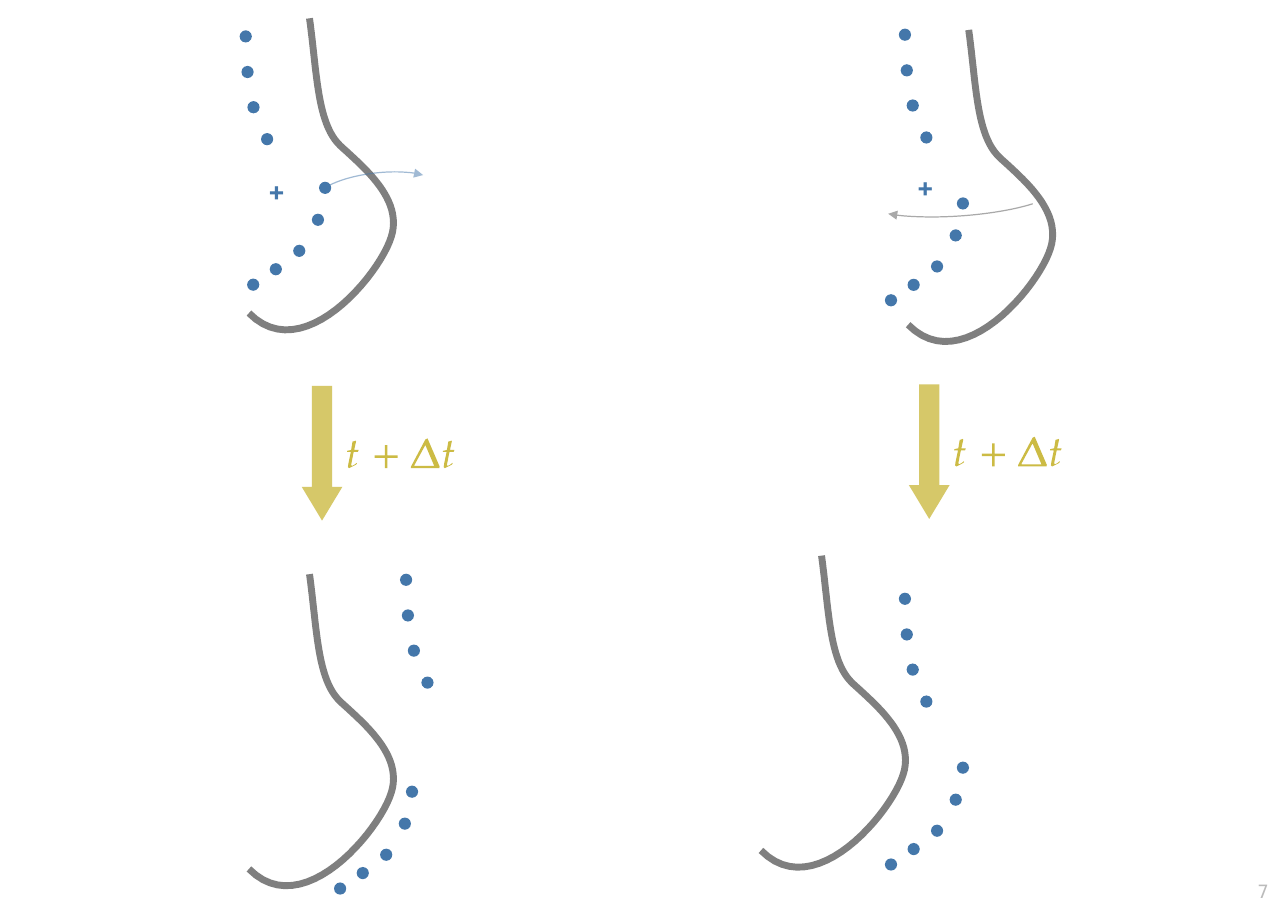
from lxml.etree import SubElement
from pptx import Presentation
from pptx.dml.color import RGBColor
from pptx.enum.shapes import MSO_SHAPE
from pptx.enum.text import MSO_ANCHOR, PP_ALIGN
from pptx.oxml.ns import qn
from pptx.util import Pt

BLUE, GREY, YELLOW, PALE = "4477AA", "555555", "CCBB44", "BBBBBB"
DOT_SIZE = 8
CURVE_STEPS = 24

# Contour as a start point and cubic segments, from its left top corner
CONTOUR_START = (39.6, 0)
CONTOUR_CURVES = [
    [(44.6, 36.9), (44.6, 68.7), (59.6, 83.2)],
    [(75.4, 97.8), (100.8, 118.3), (93, 142.9)],
    [(85.5, 167.3), (35.3, 228.5), (0, 192.7)],
]
# Dots of each arc, from the first dot of that arc
UPPER_DOTS = [(0, 0), (1.2, 23.3), (5.1, 46.3), (14, 67.2)]
LOWER_DOTS = [(0, 0), (-4.7, 20.9), (-16.9, 41.2), (-32.2, 53.2), (-47, 63.3)]

# Box corner, then contour, upper dots and lower dots from that corner
STATES = [
    ((156, 12), (6.7, 0), (0.6, 7.8), (52.5, 106.8)),
    ((156, 375), (6.7, 0.3), (105.4, 0), (109.3, 138.5)),
    ((585, 18), (8.5, 1.6), (2.4, 0.7), (40.3, 111)),
    ((497, 363), (0.3, 0.2), (90.4, 24.4), (128.3, 134.8)),
]

# Outlines of the formula's signs, each from its own left top corner
LETTER_T = [[
    (6.5, 15.1), (6.2, 14.6), (4.8, 15.8), (3.2, 16.6), (2.7, 15.9), (4.1, 8.7),
    (4.4, 7.4), (7.1, 7.4), (7.6, 6.1), (4.7, 6.1), (5.9, 0.6), (5.7, 0),
    (3.6, 0.7), (2.7, 6.1), (0.1, 6.7), (0, 7.4), (2.5, 7.4), (0.9, 15.1),
    (0.6, 17.3), (1.4, 18), (5.8, 15.8),
]]
PLUS = [[
    (6.7, 0), (8.4, 0), (8.4, 6.7), (15.1, 6.7), (15.1, 8.4), (8.4, 8.4),
    (8.4, 15.1), (6.7, 15.1), (6.7, 8.4), (0, 8.4), (0, 6.7), (6.7, 6.7),
]]
DELTA = [
    [(9.4, 0.7), (0, 18.4), (0, 19.4), (18.5, 19.4), (18.7, 18.4), (10.8, 0)],
    [(15.2, 18), (2.2, 18), (2.2, 17.5), (9.4, 4.3)],
]
FORMULA = [(LETTER_T, 0, 0), (PLUS, 18, 2.9), (DELTA, 41.8, -1.4), (LETTER_T, 62.6, 0)]


def color(hex_string):
    return RGBColor.from_string(hex_string)


def set_values(target, values):
    for name, value in values.items():
        setattr(target, name, value)


def set_opacity(shape, percent):
    for element in shape.element.spPr.iter(qn("a:srgbClr")):
        SubElement(element, qn("a:alpha"), val=str(percent * 1000))


def set_line(shape, hex_string, width, opacity):
    shape.shadow.inherit = False
    shape.fill.background()
    shape.line.color.rgb = color(hex_string)
    shape.line.width = Pt(width)
    set_opacity(shape, opacity)


def set_fill(shape, hex_string):
    shape.shadow.inherit = False
    shape.fill.solid()
    shape.fill.fore_color.rgb = color(hex_string)
    shape.line.fill.background()


def add_filled(shapes, kind, box, hex_string):
    shape = shapes.add_shape(kind, *map(Pt, box))
    set_fill(shape, hex_string)
    return shape


def add_outline(shapes, left, top, outlines, close):
    """Freeform through one or more lists of points."""
    placed = [[(Pt(left + x), Pt(top + y)) for x, y in points] for points in outlines]
    builder = shapes.build_freeform(*placed[0][0])
    for index, points in enumerate(placed):
        if index:
            builder.move_to(*points[0])
        builder.add_line_segments(points[1:], close=close)
    return builder.convert_to_shape()


def add_text(slide, box, text, hex_string, font, align=PP_ALIGN.LEFT):
    shape = slide.shapes.add_textbox(*map(Pt, box))
    set_values(shape.text_frame, {
        "word_wrap": True, "vertical_anchor": MSO_ANCHOR.TOP,
        "margin_left": 0, "margin_right": 0, "margin_top": 0, "margin_bottom": 0,
    })
    paragraph = shape.text_frame.paragraphs[0]
    paragraph.alignment = align
    run = paragraph.add_run()
    run.text = text
    set_values(run.font, font)
    run.font.color.rgb = color(hex_string)


def curve_points(start, curves):
    """Points along a chain of cubic curves."""
    points = [start]
    for first, second, end in curves:
        for step in range(1, CURVE_STEPS + 1):
            t = step / CURVE_STEPS
            u = 1 - t
            points.append(tuple(
                u**3 * a + 3 * u * u * t * b + 3 * u * t * t * c + t**3 * d
                for a, b, c, d in zip(start, first, second, end)
            ))
        start = end
    return points


def draw_state(slide, corner, contour, upper, lower):
    """One contour with its two arcs of dots."""
    left, top = corner
    shapes = slide.shapes.add_group_shape().shapes

    # Contour
    points = curve_points(CONTOUR_START, CONTOUR_CURVES)
    line = add_outline(shapes, left + contour[0], top + contour[1], [points], False)
    set_line(line, GREY, 4.5, 75)

    # Dots
    for origin, dots in ((upper, UPPER_DOTS), (lower, LOWER_DOTS)):
        for x, y in dots:
            box = (left + origin[0] + x, top + origin[1] + y, DOT_SIZE, DOT_SIZE)
            add_filled(shapes, MSO_SHAPE.OVAL, box, BLUE)


def draw_time_step(slide, left, top):
    """Down arrow with its formula."""
    arrow = add_filled(slide.shapes, MSO_SHAPE.DOWN_ARROW, (left, top, 26.5, 88), YELLOW)
    arrow.adjustments[1] = 0.83
    set_opacity(arrow, 80)

    # Formula
    shapes = slide.shapes.add_group_shape().shapes
    for outlines, x, y in FORMULA:
        sign = add_outline(shapes, left + 29.6 + x, top + 35.7 + y, outlines, True)
        set_fill(sign, YELLOW)


def draw_motion(slide, box, rotation, angles, hex_string):
    """Curved arrow showing the direction of motion."""
    arc = slide.shapes.add_shape(MSO_SHAPE.ARC, *map(Pt, box))
    arc.rotation = rotation
    for index, angle in enumerate(angles):
        arc.adjustments[index] = angle
    set_line(arc, hex_string, 0.79, 50)
    SubElement(arc.element.spPr.find(qn("a:ln")), qn("a:tailEnd"), type="triangle")


def draw_center(slide, left, top):
    """Plus sign marking the center."""
    font = {"name": "Cambria", "size": Pt(21), "bold": True}
    add_text(slide, (left, top, 20, 29), "+", BLUE, font)


def draw_page_number(slide, left, top):
    font = {"name": "DejaVu Sans Mono", "size": Pt(12)}
    add_text(slide, (left, top, 58, 14), "7", PALE, font, PP_ALIGN.RIGHT)


def main():
    presentation = Presentation()
    set_values(presentation, {"slide_width": Pt(841.68), "slide_height": Pt(595.44)})
    slide = presentation.slides.add_slide(presentation.slide_layouts[6])

    draw_page_number(slide, 771, 575.3)
    for state in STATES:
        draw_state(slide, *state)
    draw_time_step(slide, 197.2, 252.3)
    draw_time_step(slide, 594, 251.2)
    draw_motion(slide, (205.9, 113, 80.6, 26.6), 173.3, (9.93, 99.12), BLUE)
    draw_motion(slide, (565.9, 114.5, 124.6, 26.6), 355.7, (6.57, 102.15), GREY)
    draw_center(slide, 174.6, 111.6)
    draw_center(slide, 598.6, 108.7)
    presentation.save("out.pptx")


if __name__ == "__main__":
    main()
